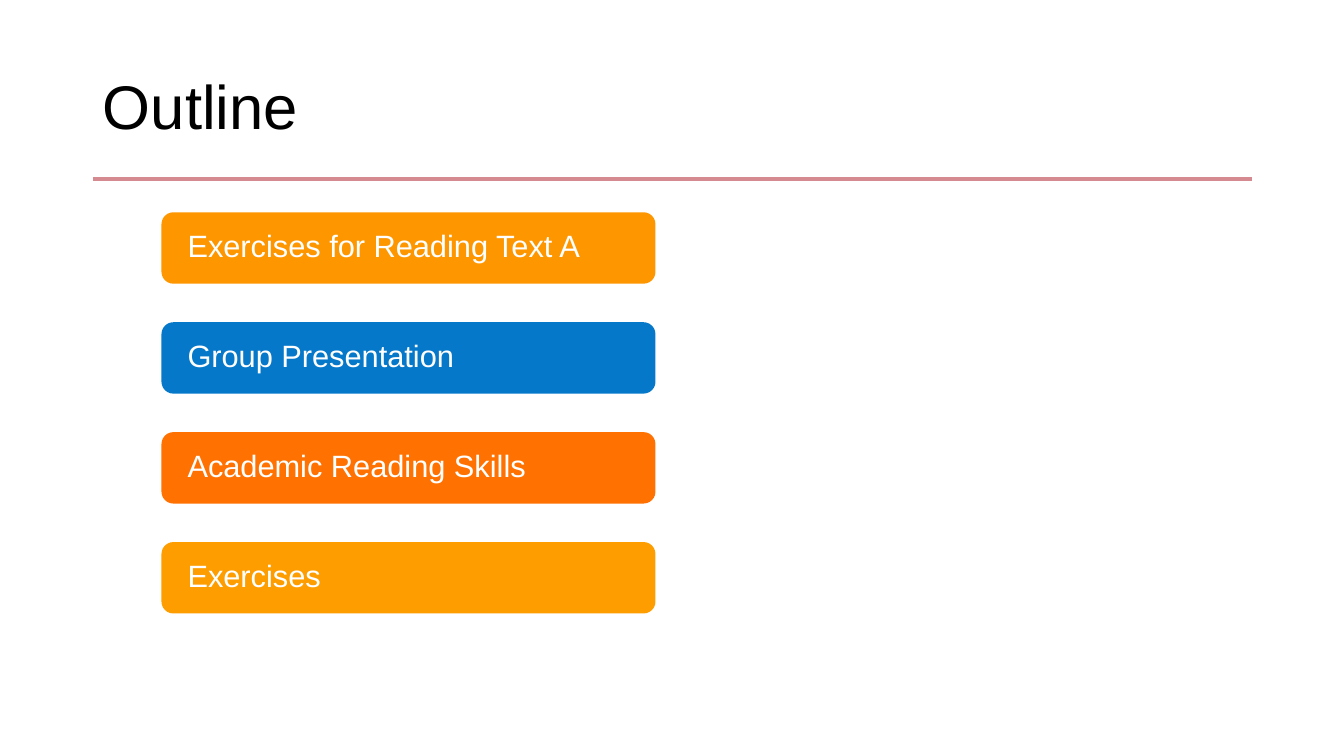
from lxml import etree
from pptx import Presentation
from pptx.dml.color import RGBColor
from pptx.enum.shapes import MSO_CONNECTOR, MSO_SHAPE
from pptx.enum.text import MSO_ANCHOR, PP_ALIGN
from pptx.oxml.ns import qn
from pptx.util import Cm, Pt

STRAIGHT = MSO_CONNECTOR.STRAIGHT
ROUNDED = MSO_SHAPE.ROUNDED_RECTANGLE
MIDDLE = MSO_ANCHOR.MIDDLE
LEFT = PP_ALIGN.LEFT

# Content
HEADING = "Outline"
TOPICS = [
    ("Exercises for Reading Text A", "FE9600"),
    ("Group Presentation", "0578C9"),
    ("Academic Reading Skills", "FF7100"),
    ("Exercises", "FE9D00"),
]

# Layout in centimetres
MARGIN, CONTENT_WIDTH = 2.34, 29.21
HEADING_TOP, HEADING_HEIGHT = 1.02, 3.5
BAR_LEFT, BAR_TOP, BAR_WIDTH, BAR_HEIGHT = 4.07, 5.35, 12.45, 1.8
BAR_PITCH = 2.77

# Formats
HEADING_FONT = {"name": "Arial", "size": Pt(44)}
TOPIC_FONT = {"name": "Arial", "size": Pt(22)}
HEADING_FRAME = {"vertical_anchor": MIDDLE, "word_wrap": True}
TOPIC_FRAME = {**HEADING_FRAME, "margin_left": Cm(0.57), "margin_right": Cm(0.57),
               "margin_top": 0, "margin_bottom": 0}
PARAGRAPH = {"alignment": LEFT, "line_spacing": 0.9}


def rgb(code):
    return RGBColor.from_string(code)


def apply(target, formats):
    for attribute, value in formats.items():
        setattr(target, attribute, value)


def write(shape, words, frame_format, font_format, color):
    frame = shape.text_frame
    frame.text = words
    apply(frame, frame_format)
    paragraph = frame.paragraphs[0]
    apply(paragraph, PARAGRAPH)
    font = paragraph.runs[0].font
    apply(font, font_format)
    font.color.rgb = rgb(color)


def main():
    deck = Presentation()
    deck.slide_width, deck.slide_height = Cm(33.87), Cm(19.05)
    slide = deck.slides.add_slide(deck.slide_layouts[5])

    # Heading
    heading = slide.shapes.title
    apply(heading, {"left": Cm(MARGIN), "top": Cm(HEADING_TOP),
                    "width": Cm(CONTENT_WIDTH), "height": Cm(HEADING_HEIGHT)})
    write(heading, HEADING, HEADING_FRAME, HEADING_FONT, "000000")

    # Rule under the heading
    rule_y = Cm(HEADING_TOP + HEADING_HEIGHT)
    rule = slide.shapes.add_connector(
        STRAIGHT, Cm(MARGIN), rule_y, Cm(MARGIN + CONTENT_WIDTH), rule_y)
    rule.line.width = Pt(3)
    rule.line.color.rgb = rgb("D58A91")
    etree.SubElement(rule._element.spPr, qn("a:effectLst"))

    # Topic bars
    for index, (topic, color) in enumerate(TOPICS):
        bar = slide.shapes.add_shape(
            ROUNDED, Cm(BAR_LEFT), Cm(BAR_TOP + index * BAR_PITCH),
            Cm(BAR_WIDTH), Cm(BAR_HEIGHT))
        bar.shadow.inherit = False
        bar.fill.solid()
        bar.fill.fore_color.rgb = rgb(color)
        bar.line.fill.background()
        write(bar, topic, TOPIC_FRAME, TOPIC_FONT, "FFFFFF")

    deck.save("out.pptx")


if __name__ == "__main__":
    main()
